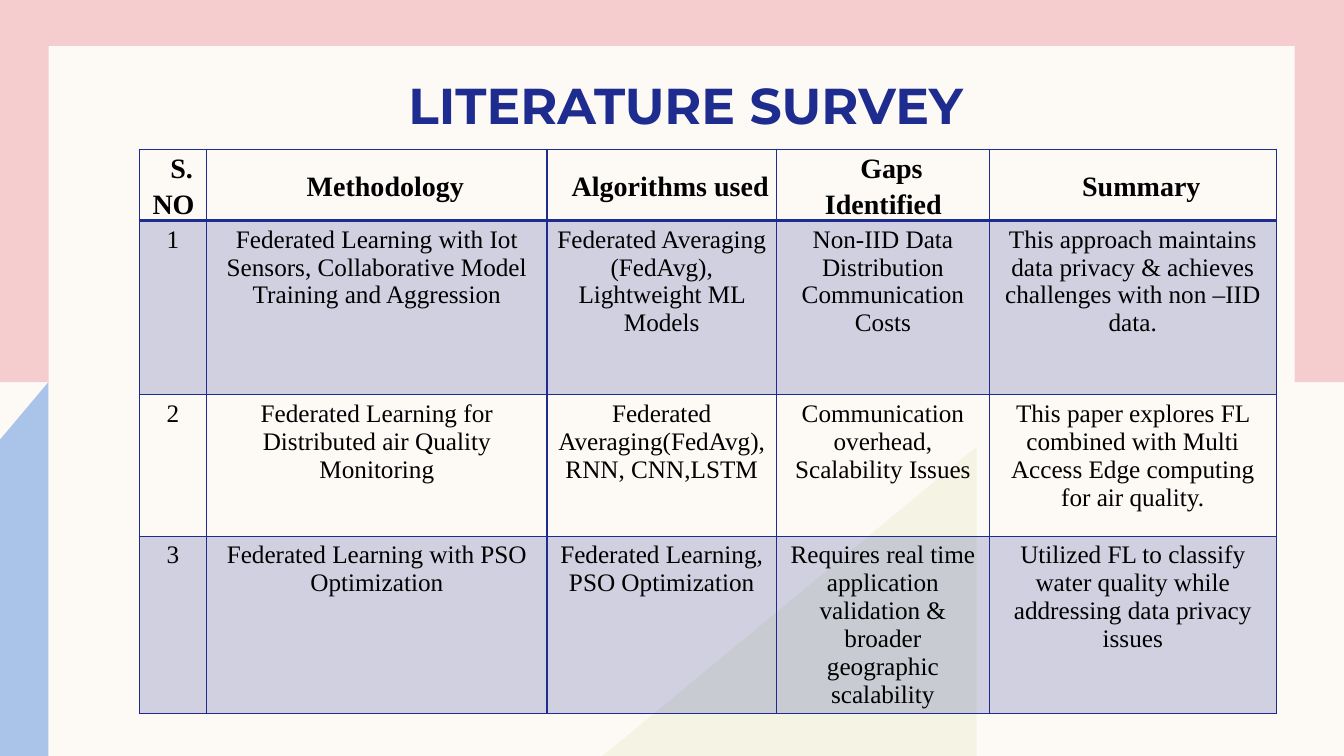
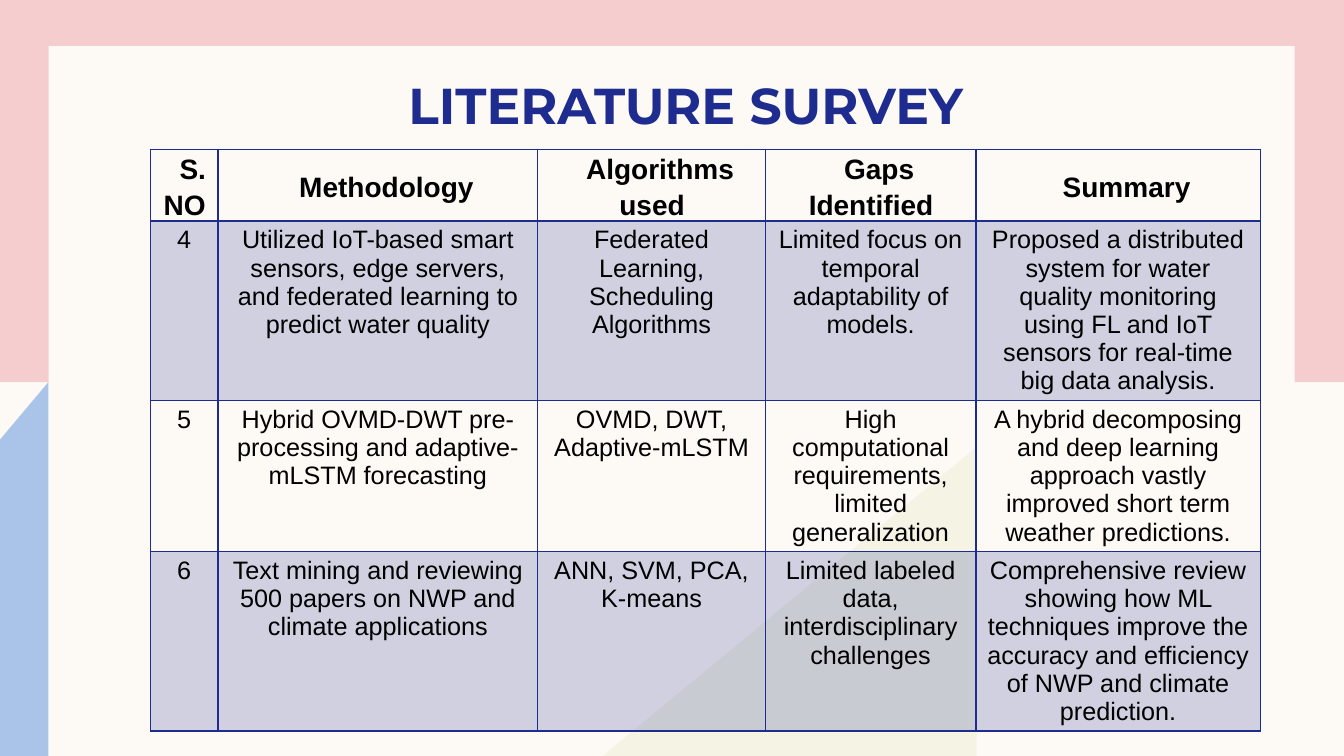
"""Build two literature survey slides with a shared layout and native tables."""
from lxml.etree import SubElement
from pptx import Presentation
from pptx.dml.color import RGBColor
from pptx.enum.shapes import MSO_SHAPE
from pptx.enum.text import MSO_ANCHOR, PP_ALIGN
from pptx.oxml.ns import qn
from pptx.util import Pt

COLORS = {"cream": "FDFAF6", "pink": "F5CDCE", "olive": "EDEED3",
          "sky": "AAC3E8", "navy": "1F2C8F", "black": "000000"}

TITLE = "LITERATURE SURVEY"
HEADERS = ["S.NO", "Methodology", "Algorithms used", "Gaps Identified", "Summary"]
SURVEYS = [
    {"font": "Times New Roman", "left": 99.5,
     "columns": [48.2, 243, 164, 152, 205], "rows": [48.2, 124.5, 101, 90],
     "papers": [
         ["1",
          "Federated Learning with Iot Sensors, Collaborative Model Training and Aggression",
          "Federated Averaging (FedAvg), Lightweight ML Models",
          "Non-IID Data Distribution Communication Costs",
          "This approach maintains data privacy & achieves challenges with non –IID data."],
         ["2",
          "Federated Learning for Distributed air Quality Monitoring",
          "Federated Averaging(FedAvg), RNN, CNN,LSTM",
          "Communication overhead, Scalability Issues",
          "This paper explores FL combined with Multi Access Edge computing for air quality."],
         ["3",
          "Federated Learning with PSO Optimization",
          "Federated Learning, PSO Optimization",
          "Requires real time application validation & broader geographic scalability",
          "Utilized FL to classify water quality while addressing data privacy issues"]]},
    {"font": "Arial", "left": 107.5,
     "columns": [48.2, 228.5, 162.5, 150.5, 203], "rows": [43, 111.5, 103.5, 123],
     "papers": [
         ["4",
          "Utilized IoT-based smart sensors, edge servers, and federated learning "
          "to predict water quality",
          "Federated Learning, Scheduling Algorithms",
          "Limited focus on temporal adaptability of models.",
          "Proposed a distributed system for water quality monitoring using FL and IoT "
          "sensors for real-time big data analysis."],
         ["5",
          "Hybrid OVMD-DWT pre-processing and adaptive-mLSTM forecasting",
          "OVMD, DWT, Adaptive-mLSTM",
          "High computational requirements, limited generalization",
          "A hybrid decomposing and deep learning approach vastly improved short term "
          "weather predictions."],
         ["6",
          "Text mining and reviewing 500 papers on NWP and climate applications",
          "ANN, SVM, PCA, K-means",
          "Limited labeled data, interdisciplinary challenges",
          "Comprehensive review showing how ML techniques improve the accuracy and "
          "efficiency of NWP and climate prediction."]]},
]
BANDS = [("pink", (-2, 0, 962, 273)), ("cream", (34.8, 33, 890, 474.5))]
CORNERS = [("olive", 50, [(430.5, 540), (697.7, 319), (697.7, 540)]),
           ("sky", 100, [(34.5, 273), (34.5, 540), (0, 540), (0, 314)])]
TITLE_BOX = (284.5, 31.7, 638.6, 64.8)
TABLE_TOP = 106.5


def rgb(name):
    """Return a named colour."""
    return RGBColor.from_string(COLORS[name])


def paint(fill, properties, color, opacity=100):
    """Fill a shape or cell, with optional transparency."""
    fill.solid()
    fill.fore_color.rgb = rgb(color)
    if opacity < 100:
        color_element = properties.find(qn("a:solidFill"))[0]
        SubElement(color_element, qn("a:alpha"), val=str(opacity * 1000))


def write_text(frame, text, font, size, color="black", bold=False,
               align=PP_ALIGN.CENTER, line_spacing=None, space_after=None, indent=None):
    """Write one formatted paragraph."""
    paragraph = frame.paragraphs[0]
    paragraph.alignment = align
    if line_spacing:
        paragraph.line_spacing = line_spacing
    if space_after:
        paragraph.space_after = Pt(space_after)
    if indent:
        properties = paragraph._p.get_or_add_pPr()
        for key, value in zip(("marL", "indent"), indent):
            properties.set(key, str(Pt(value)))
    run = paragraph.add_run()
    run.text = text
    run.font.name = font
    run.font.size = Pt(size)
    run.font.bold = bold
    run.font.color.rgb = rgb(color)


def build_layout(layout, canvas):
    """Give the layout its background, bands, corners and title box."""
    layout.background.fill.solid()
    layout.background.fill.fore_color.rgb = rgb("cream")
    decorations = []
    for color, box in BANDS:
        shape = canvas.shapes.add_shape(MSO_SHAPE.RECTANGLE, *map(Pt, box))
        decorations.append((shape, color, 100))
    for color, opacity, points in CORNERS:
        start, *others = [(Pt(x), Pt(y)) for x, y in points]
        builder = canvas.shapes.build_freeform(*start)
        builder.add_line_segments(others, close=True)
        decorations.append((builder.convert_to_shape(), color, opacity))
    for index, (shape, color, opacity) in enumerate(decorations):
        shape.shadow.inherit = False
        shape.line.fill.background()
        paint(shape.fill, shape.element.spPr, color, opacity)
        shape.element.nvSpPr.cNvPr.id = 100 + index
        layout.shapes._spTree.insert(2 + index, shape.element)
    title = layout.placeholders[0]
    title.left, title.top, title.width, title.height = map(Pt, TITLE_BOX)
    frame = title.text_frame
    frame.vertical_anchor = MSO_ANCHOR.BOTTOM
    frame.margin_left = frame.margin_right = Pt(7.2)
    frame.margin_top = frame.margin_bottom = 0


def add_borders(cell, top, bottom):
    """Draw the four cell borders in navy."""
    properties = cell._tc.get_or_add_tcPr()
    for side, width in (("L", 1), ("R", 1), ("T", top), ("B", bottom)):
        line = SubElement(properties, qn(f"a:ln{side}"), w=str(Pt(width)))
        solid = SubElement(line, qn("a:solidFill"))
        SubElement(solid, qn("a:srgbClr"), val=COLORS["navy"])


def add_survey_table(slide, survey):
    """Add the table of papers under its header row."""
    columns, rows = survey["columns"], survey["rows"]
    table = slide.shapes.add_table(
        len(rows), len(columns), Pt(survey["left"]), Pt(TABLE_TOP),
        Pt(sum(columns)), Pt(sum(rows))).table
    table.first_row = table.horz_banding = False
    for column, width in zip(table.columns, columns):
        column.width = Pt(width)
    for row, height in zip(table.rows, rows):
        row.height = Pt(height)
    for row_index, texts in enumerate([HEADERS, *survey["papers"]]):
        is_header = row_index == 0
        for column_index, text in enumerate(texts):
            cell = table.cell(row_index, column_index)
            add_borders(cell, top=2 if row_index == 1 else 1, bottom=2 if is_header else 1)
            if row_index % 2:
                paint(cell.fill, cell._tc.tcPr, "navy", 20)
            else:
                cell.fill.background()
            if is_header:
                cell.vertical_anchor = MSO_ANCHOR.MIDDLE
                cell.margin_left = cell.margin_right = Pt(5)
                cell.margin_top = cell.margin_bottom = 0
                write_text(cell.text_frame, text, survey["font"], 20, bold=True,
                           line_spacing=1.15, space_after=3.7, indent=(0.7, 11.5))
            else:
                write_text(cell.text_frame, text, survey["font"], 18)


def main():
    """Create and save the presentation."""
    presentation = Presentation()
    presentation.slide_width, presentation.slide_height = Pt(960), Pt(540)
    layout = presentation.slide_layouts[5]
    slides = [presentation.slides.add_slide(layout) for _ in SURVEYS]
    build_layout(layout, slides[0])
    for slide, survey in zip(slides, SURVEYS):
        write_text(slide.shapes.title.text_frame, TITLE, "Montserrat", 36,
                   color="navy", bold=True, align=PP_ALIGN.LEFT)
        add_survey_table(slide, survey)
    presentation.save("out.pptx")


if __name__ == "__main__":
    main()
